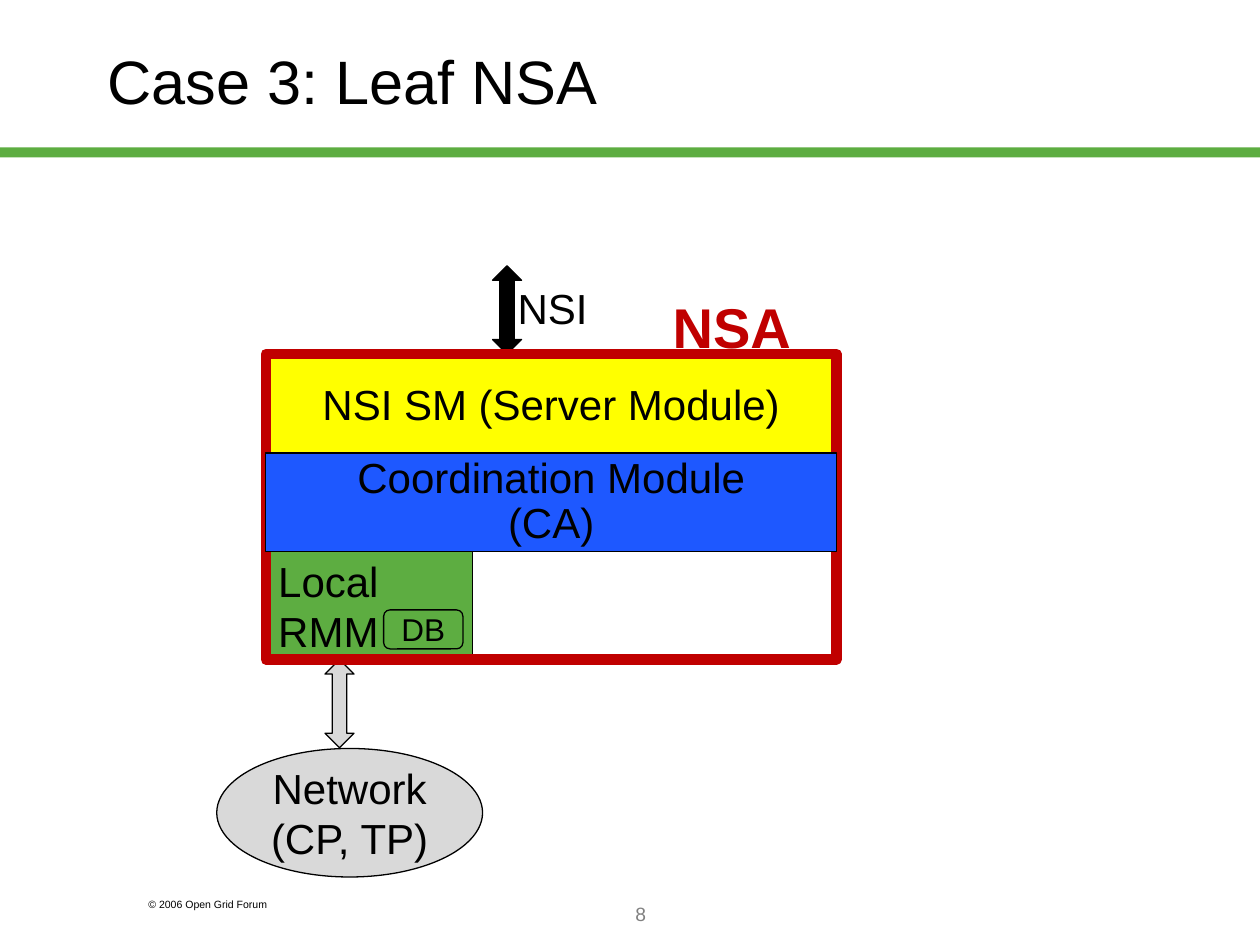
from pptx import Presentation
from pptx.dml.color import RGBColor as Rgb
from pptx.enum.shapes import MSO_SHAPE as Shape
from pptx.enum.text import MSO_ANCHOR as Anchor, MSO_AUTO_SIZE as Fit, PP_ALIGN as Align
from pptx.util import Inches, Pt

COLORS = {
    "black": "000000", "green": "5DAD41", "gray": "D9D9D9", "yellow": "FFFF00",
    "blue": "1E58FF", "red": "C00000", "number": "808080",
}
COLUMNS, ROWS = 100, 75


def color(name):
    return Rgb.from_string(COLORS[name])


def write(frame, text, size=24, ink="black", bold=False, align=Align.LEFT,
          anchor=Anchor.MIDDLE, wrap=True, spacing=1.0, before=0):
    frame.auto_size = Fit.NONE
    frame.word_wrap = wrap
    frame.vertical_anchor = anchor
    frame.text = text
    for line in frame.paragraphs:
        line.alignment = align
        line.line_spacing = spacing
        line.space_before = Pt(before)
        line.font.name = "Arial"
        line.font.size = Pt(size)
        line.font.bold = bold
        line.font.color.rgb = color(ink)


class NsaSlide:
    """Draws slide elements on a grid of 100 columns by 75 rows."""

    def __init__(self, deck):
        self.cell_width = deck.slide_width / COLUMNS
        self.cell_height = deck.slide_height / ROWS
        self.slide = deck.slides.add_slide(deck.slide_layouts[5])

    def area(self, column, row, columns, rows):
        return (round(column * self.cell_width), round(row * self.cell_height),
                round(columns * self.cell_width), round(rows * self.cell_height))

    def title(self, text, *place):
        heading = self.slide.shapes.title
        heading.left, heading.top, heading.width, heading.height = self.area(*place)
        write(heading.text_frame, text, size=35)

    def label(self, text, *place, **style):
        caption = self.slide.shapes.add_textbox(*self.area(*place))
        write(caption.text_frame, text, **style)

    def block(self, kind, *place, fill=None, line="black", weight=0.75, text=None, **style):
        part = self.slide.shapes.add_shape(kind, *self.area(*place))
        part.shadow.inherit = False
        if fill:
            part.fill.solid()
            part.fill.fore_color.rgb = color(fill)
        else:
            part.fill.background()
        if line:
            part.line.color.rgb = color(line)
            part.line.width = Pt(weight)
        else:
            part.line.fill.background()
        if text:
            write(part.text_frame, text, **{"align": Align.CENTER, **style})

    def arrow(self, column, row, fill):
        self.block(Shape.UP_DOWN_ARROW, column, row, 2.3, 7, fill=fill)


def main():
    deck = Presentation()
    deck.slide_width, deck.slide_height = Inches(10), Inches(7.5)
    page = NsaSlide(deck)

    left, top, width, height = 21.1, 28.1, 45.3, 24.25
    module = 7.84
    coordination = top + module
    local = coordination + module

    page.block(Shape.RECTANGLE, 0, 11.7, COLUMNS, 0.8, fill="green", line=None)
    page.label("© 2006 Open Grid Forum", 10.8, 70.8, 15, 2,
               size=6, anchor=Anchor.TOP, before=3.7)
    page.title("Case 3: Leaf NSA", 7.5, 1.7, 85, 9.3)
    page.label("8", 21.7, 70, 58.3, 5, size=11, ink="number", align=Align.CENTER)

    page.block(Shape.RECTANGLE, left, local, 16.4, top + height - local,
               fill="green", text="Local\nRMM", align=Align.LEFT)
    page.block(Shape.OVAL, 17.2, 59.4, 21.1, 10.2, fill="gray", text="Network\n(CP, TP)")
    page.block(Shape.RECTANGLE, left, top, width, module,
               fill="yellow", text="NSI SM (Server Module)")
    page.arrow(25.8, top + height, "gray")
    page.arrow(39.1, top - 7, "black")
    page.label("NSI", 40.1, 21.9, 7.5, 5, anchor=Anchor.TOP, wrap=False)
    page.block(Shape.RECTANGLE, left, top, width, height, line="red", weight=6)
    page.label("NSA", 52.4, 22.7, 11.4, 6.4,
               size=32, ink="red", bold=True, anchor=Anchor.TOP, wrap=False)
    page.block(Shape.ROUNDED_RECTANGLE, 30.45, 48.4, 6.3, 3.1,
               fill="green", text="DB", size=18)
    page.block(Shape.RECTANGLE, left, coordination, width, module,
               fill="blue", text="Coordination Module\n(CA)", spacing=0.9)

    deck.save("out.pptx")


if __name__ == "__main__":
    main()
